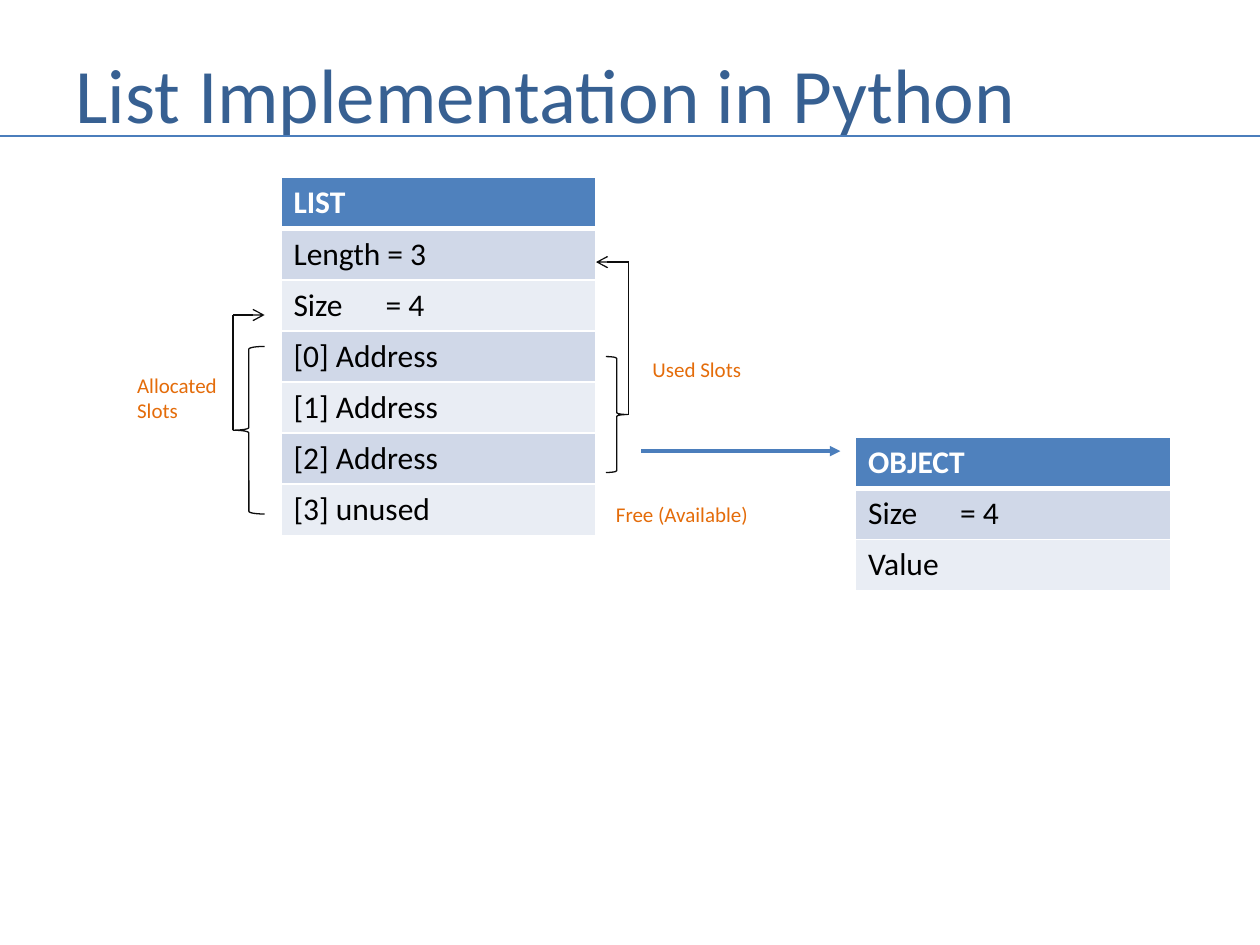
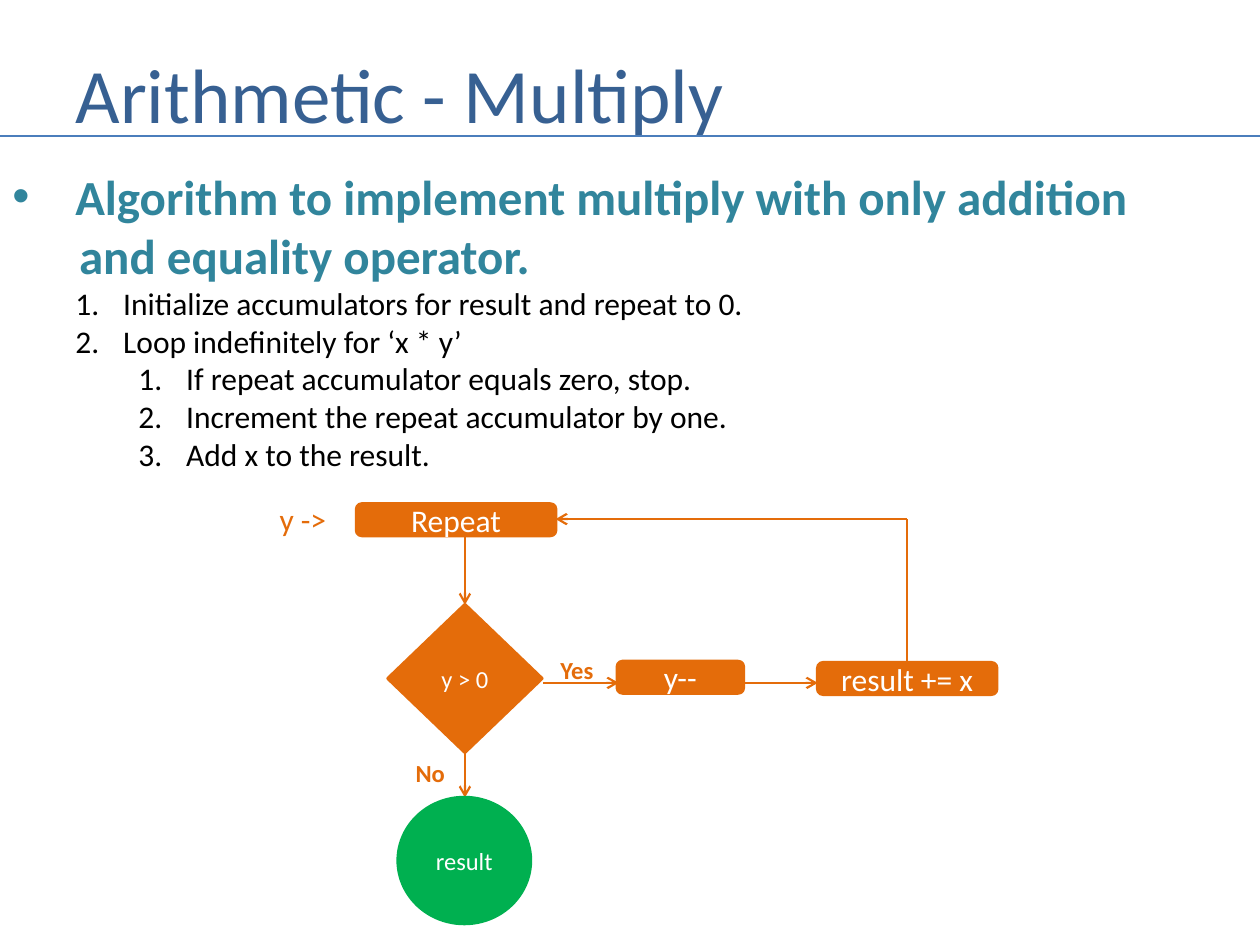
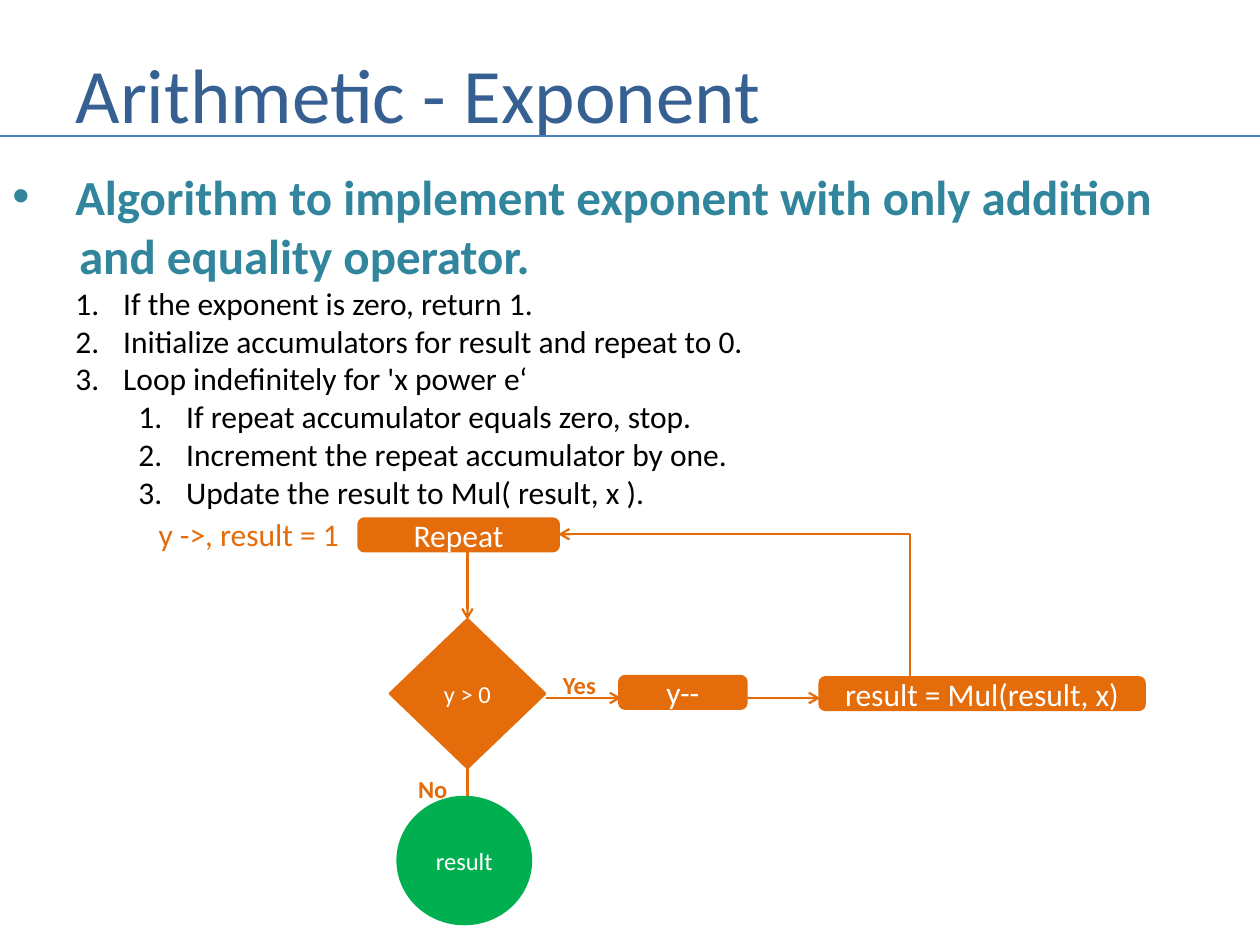
import pptx
import pptx.util
import pptx.dml.color
import pptx.enum.shapes
import pptx.enum.text
import pptx.oxml.ns
from lxml import etree

Inches, Pt = pptx.util.Inches, pptx.util.Pt
MSO = pptx.enum.shapes.MSO_SHAPE
FONT = "Calibri"
COLORS = {
    "title": "376092", "rule": "4B7EBC", "heading": "31859C", "text": "000000",
    "brace": "0D0D0D", "orange": "E46C0A", "green": "00B050", "white": "FFFFFF",
    "header": "4F81BD", "band_dark": "D0D8E8", "band_light": "E9EDF4",
}

# ---- Content ----
# Tables: left, top, rows (first row is the header)
TABLES = [
    (2.23, 1.41, ["LIST", "Length = 3", "Size\t= 4", "[0] Address",
                  "[1] Address", "[2] Address", "[3] unused"]),
    (6.79, 3.47, ["OBJECT", "Size\t= 4", "Value"]),
]
TABLE_W, ROW_H, SIZE_TAB = 2.5, Pt(29.2), 0.73
# Braces: preset, box, then the path from brace point to table row
BRACES = [
    (MSO.LEFT_BRACE, (1.85, 2.75, 0.25, 1.33), [(1.85, 3.41), (1.85, 2.5), (2.1, 2.5)]),
    (MSO.RIGHT_BRACE, (4.81, 2.83, 0.17, 0.92), [(4.99, 3.29), (4.99, 2.08), (4.73, 2.08)]),
]
SLOT_LABELS = [
    ("Allocated\nSlots", (0.99, 2.91, 0.84, 0.5)),
    ("Used Slots", (5.08, 2.78, 0.92, 0.3)),
    ("Free (Available)", (4.79, 3.93, 1.26, 0.3)),
]

# Algorithms: steps are (level, text); shift moves the whole flowchart
ALGORITHMS = [
    {"title": "Arithmetic - Multiply",
     "goal": "Algorithm to implement multiply with only addition",
     "steps": [(1, "Initialize accumulators for result and repeat to 0."),
               (1, "Loop indefinitely for ‘x * y’"),
               (2, "If repeat accumulator equals zero, stop."),
               (2, "Increment the repeat accumulator by one."),
               (2, "Add x to the result.")],
     "shift": (0, 0), "start": ("y ->", 2.12, 0.59), "update": ("result += x", 1.42)},
    {"title": "Arithmetic - Exponent",
     "goal": "Algorithm to implement exponent with only addition",
     "steps": [(1, "If the exponent is zero, return 1."),
               (1, "Initialize accumulators for result and repeat to 0."),
               (1, "Loop indefinitely for 'x power e‘"),
               (2, "If repeat accumulator equals zero, stop."),
               (2, "Increment the repeat accumulator by one."),
               (2, "Update the result to Mul( result, x ).")],
     "shift": (0.02, 0.12), "start": ("y ->, result = 1", 1.16, 1.65),
     "update": ("result = Mul(result, x)", 2.57)},
]
GOAL_END = "and equality operator."
FLOW_ARROWS = [
    [(3.69, 4.25), (3.69, 4.8)],
    [(3.69, 5.97), (3.69, 6.33)],
    [(4.31, 5.42), (4.91, 5.42)],
    [(5.9, 5.42), (6.49, 5.42)],
    [(7.2, 5.26), (7.2, 4.12), (4.41, 4.12)],
]
BRANCH_LABELS = [("No", 3.2, 5.97, 0.44), ("Yes", 4.35, 5.15, 0.46)]


# ---- Helpers ----
def rgb(name):
    return pptx.dml.color.RGBColor.from_string(COLORS[name])


def add_xml(parent, tag, **attrs):
    return etree.SubElement(parent, pptx.oxml.ns.qn(tag), attrs)


def style(p, size, color, bold=False):
    p.font.name, p.font.size, p.font.bold = FONT, Pt(size), bold
    p.font.color.rgb = rgb(color)


def add_path(slide, points, color, width, head=None):
    """Straight segments through the points, with an arrowhead on the last."""
    for i, (a, b) in enumerate(zip(points, points[1:]), start=2):
        line = slide.shapes.add_connector(
            pptx.enum.shapes.MSO_CONNECTOR.STRAIGHT, *map(Inches, a + b))
        line.line.color.rgb, line.line.width = rgb(color), Pt(width)
        if head and i == len(points):
            add_xml(line.line._get_or_add_ln(), "a:tailEnd", type=head)
        add_xml(line._element.spPr, "a:effectLst")


def add_shape(slide, kind, box, line, width, fill=None, text=None, size=18):
    sp = slide.shapes.add_shape(kind, *map(Inches, box))
    sp.shadow.inherit = False
    sp.line.color.rgb, sp.line.width = rgb(line), Pt(width)
    if fill:
        sp.fill.solid()
        sp.fill.fore_color.rgb = rgb(fill)
    else:
        sp.fill.background()
    if text:
        p = sp.text_frame.paragraphs[0]
        p.text = text
        p.alignment = pptx.enum.text.PP_ALIGN.CENTER
        style(p, size, "white")


def add_label(slide, text, box, size, bold=False):
    tf = slide.shapes.add_textbox(*map(Inches, box)).text_frame
    tf.word_wrap = False
    tf.auto_size = pptx.enum.text.MSO_AUTO_SIZE.SHAPE_TO_FIT_TEXT
    p = tf.paragraphs[0]
    p.text = text
    style(p, size, "orange", bold)


def add_slide(prs, title):
    slide = prs.slides.add_slide(prs.slide_layouts[5])
    sp = slide.shapes.title
    sp.left, sp.top, sp.width, sp.height = map(Inches, (0.5, 0.3, 9.08, 0.87))
    sp.text_frame.vertical_anchor = pptx.enum.text.MSO_ANCHOR.MIDDLE
    p = sp.text_frame.paragraphs[0]
    p.text = title
    p.alignment = pptx.enum.text.PP_ALIGN.LEFT
    style(p, 44, "title")
    add_path(slide, [(0, 1.08), (10, 1.08)], "rule", 1.5)
    return slide


def add_column_table(slide, left, top, rows):
    table = slide.shapes.add_table(len(rows), 1, Inches(left), Inches(top),
                                   Inches(TABLE_W), ROW_H * len(rows)).table
    for i, text in enumerate(rows):
        cell = table.cell(i, 0)
        tcPr = cell._tc.get_or_add_tcPr()
        for side in "LRTB":
            thick = (i == 0 and side == "B") or (i == 1 and side == "T")
            ln = add_xml(tcPr, "a:ln" + side, w=str(Pt(3 if thick else 1)))
            add_xml(add_xml(ln, "a:solidFill"), "a:srgbClr", val=COLORS["white"])
        cell.fill.solid()
        cell.fill.fore_color.rgb = rgb(
            "header" if i == 0 else "band_dark" if i % 2 else "band_light")
        p = cell.text_frame.paragraphs[0]
        p.text = text
        if "\t" in text:
            tabs = add_xml(p._p.get_or_add_pPr(), "a:tabLst")
            add_xml(tabs, "a:tab", pos=str(Inches(SIZE_TAB)), algn="l")
        style(p, 18, "text" if i else "white", bold=i == 0)


def add_steps(slide, goal, steps):
    tf = slide.shapes.add_textbox(*map(Inches, (0, 1.27, 9.4, 2.6))).text_frame
    tf.word_wrap = True
    for i, (level, text) in enumerate([(0, goal), (0, GOAL_END)] + steps):
        p = tf.paragraphs[0] if i == 0 else tf.add_paragraph()
        p.text, p.level = text, level
        pPr = p._p.get_or_add_pPr()
        if level:
            margin, indent = 0.38 + 0.5 * level, -0.38
            add_xml(pPr, "a:buFont", typeface="+mj-lt")
            add_xml(pPr, "a:buAutoNum", type="arabicPeriod")
        elif i == 0:
            margin, indent = 0.5, -0.5
            add_xml(pPr, "a:buFont", typeface="Arial")
            add_xml(pPr, "a:buChar", char="•")
        else:
            margin, indent = 0.53, 0
        pPr.set("marL", str(Inches(margin)))
        pPr.set("indent", str(Inches(indent)))
        style(p, *((18, "text") if level else (28, "heading", True)))


def add_flowchart(slide, shift, start, update):
    dx, dy = shift
    for points in FLOW_ARROWS:
        add_path(slide, [(x + dx, y + dy) for x, y in points], "orange", 1.25, "arrow")
    boxes = [
        (MSO.ROUNDED_RECTANGLE, "Repeat", (2.83, 4, 1.58, 0.25), 18),
        (MSO.FLOWCHART_DECISION, "y > 0", (3.08, 4.8, 1.22, 1.17), 14),
        (MSO.ROUNDED_RECTANGLE, "y--", (4.9, 5.25, 1, 0.25), 18),
        (MSO.ROUNDED_RECTANGLE, update[0], (6.49, 5.26, update[1], 0.25), 18),
    ]
    for kind, text, (x, y, w, h), size in boxes:
        add_shape(slide, kind, (x + dx, y + dy, w, h), "orange", 2, "orange", text, size)
    add_shape(slide, MSO.OVAL, (3.16, 6.33, 1.05, 1), "green", 2, "green", "result", 14)
    text, x, w = start
    add_label(slide, text, (x, 3.92 + dy, w, 0.4), 18)
    for text, x, y, w in BRANCH_LABELS:
        add_label(slide, text, (x + dx, y + dy, w, 0.34), 14, bold=True)


def main():
    prs = pptx.Presentation()
    prs.slide_width, prs.slide_height = Inches(10), Inches(7.5)

    # List layout in memory
    slide = add_slide(prs, "List Implementation in Python")
    for left, top, rows in TABLES:
        add_column_table(slide, left, top, rows)
    for kind, box, points in BRACES:
        add_shape(slide, kind, box, "brace", 0.75)
        add_path(slide, points, "brace", 0.75, "arrow")
    for text, box in SLOT_LABELS:
        add_label(slide, text, box, 12)
    add_path(slide, [(5.09, 3.58), (6.67, 3.58)], "rule", 2, "triangle")

    # Arithmetic algorithms
    for a in ALGORITHMS:
        slide = add_slide(prs, a["title"])
        add_steps(slide, a["goal"], a["steps"])
        add_flowchart(slide, a["shift"], a["start"], a["update"])

    prs.save("out.pptx")


if __name__ == "__main__":
    main()
